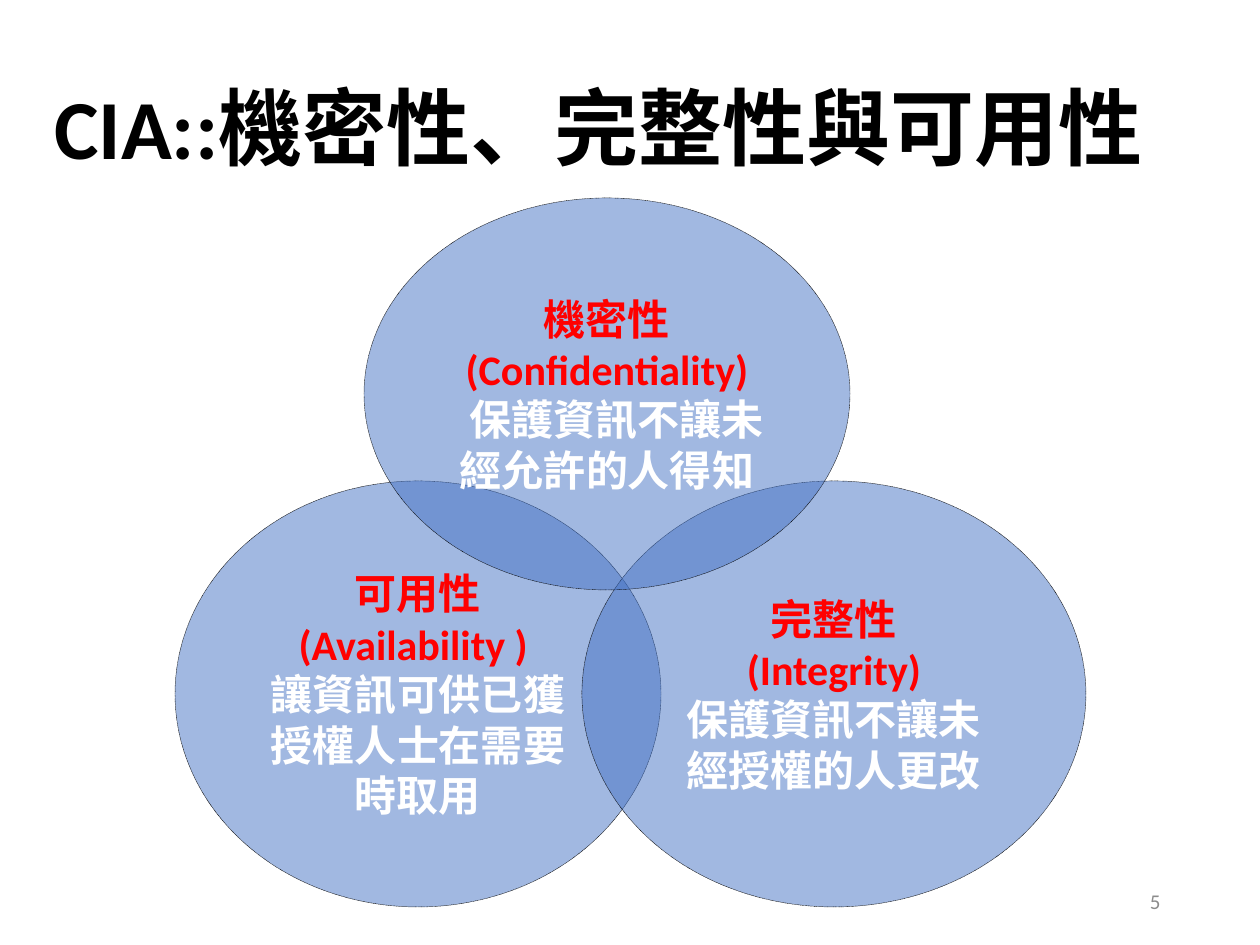
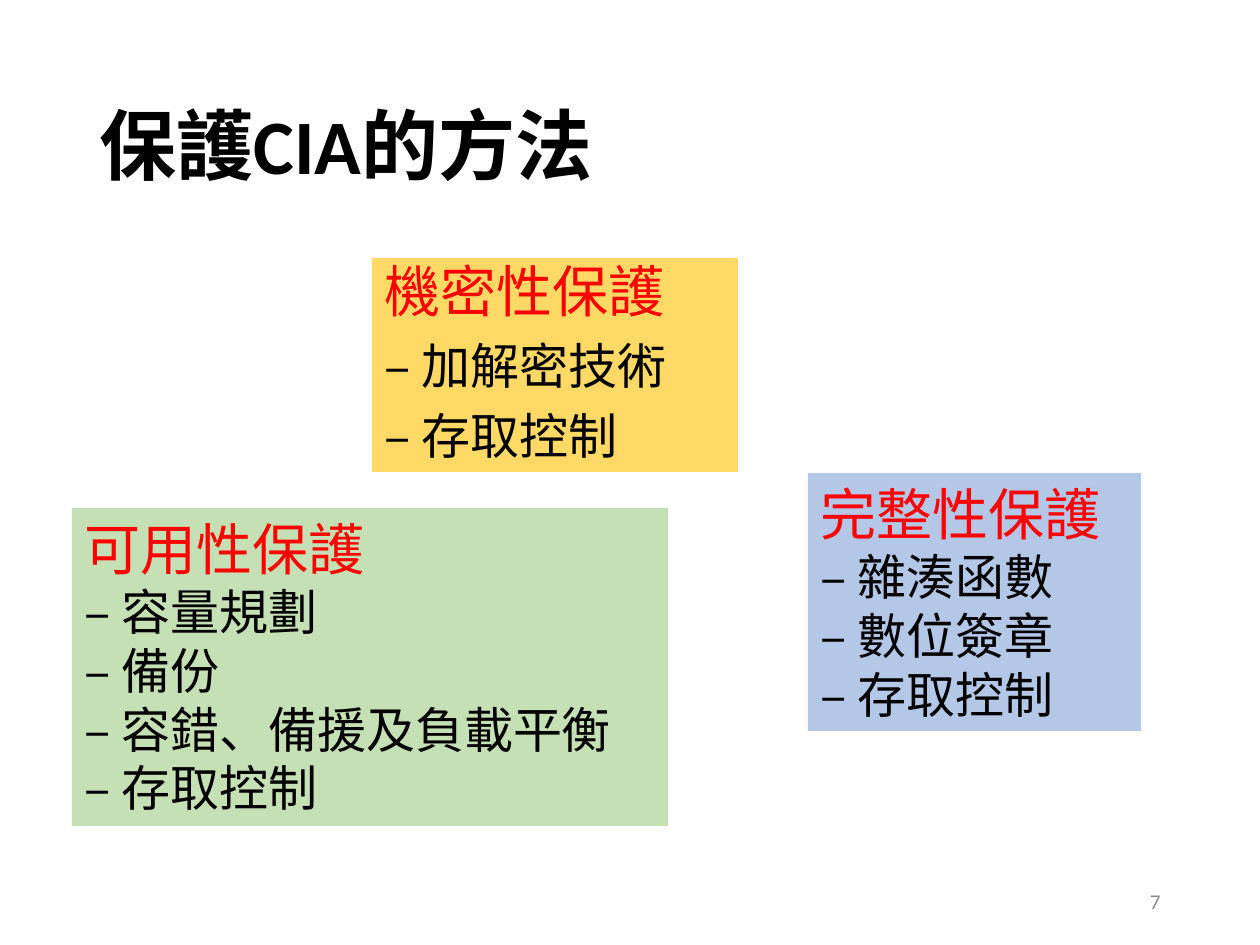
from dataclasses import dataclass

from lxml import etree
from pptx import Presentation
from pptx import util as u
from pptx.dml.color import RGBColor
from pptx.enum import dml, shapes, text
from pptx.oxml import ns

PX = u.Inches(1) / 126
FONT = "Calibri"
BLACK = RGBColor(0x00, 0x00, 0x00)
WHITE = RGBColor(0xFF, 0xFF, 0xFF)
RED = RGBColor(0xFF, 0x00, 0x00)
GRAY = RGBColor(0x8C, 0x8C, 0x8C)
BLUE = RGBColor(0x44, 0x72, 0xC4)
GOLD = RGBColor(0xFF, 0xD9, 0x66)
PALE_BLUE = RGBColor(0xB4, 0xC7, 0xE7)
PALE_GREEN = RGBColor(0xC5, 0xE0, 0xB4)


@dataclass(frozen=True)
class Area:
    left: int
    top: int
    width: int
    height: int

    def emu(self) -> list[int]:
        return [px(n) for n in (self.left, self.top, self.width, self.height)]


@dataclass(frozen=True)
class Circle:
    area: Area
    names: tuple[str, ...]
    meaning: str
    indent: int = 0


@dataclass(frozen=True)
class Card:
    area: Area
    fill: RGBColor
    heading: str
    methods: tuple[str, ...]
    line_spacing: float = 1.0
    gap: int = 0


NUMBER_AREA = Area(890, 876, 283, 50)

CIRCLES = (
    Circle(Area(175, 481, 486, 426), ("可用性", "(Availability ) "),
           "讓資訊可供已獲授權人士在需要時取用"),
    Circle(Area(582, 481, 504, 426), ("完整性", "(Integrity)"),
           "保護資訊不讓未經授權的人更改"),
    Circle(Area(364, 198, 486, 392), ("機密性(Confidentiality)",),
           "保護資訊不讓未經允許的人得知", indent=18),
)

CARDS = (
    Card(Area(372, 258, 366, 214), GOLD, "機密性保護",
         ("加解密技術", "存取控制"), line_spacing=0.9, gap=10),
    Card(Area(808, 473, 333, 258), PALE_BLUE, "完整性保護",
         ("雜湊函數", "數位簽章", "存取控制")),
    Card(Area(72, 508, 596, 318), PALE_GREEN, "可用性保護",
         ("容量規劃", "備份", "容錯、備援及負載平衡", "存取控制")),
)


def px(count: int) -> int:
    return round(count * PX)


def write(frame, words: str, *, size: int, color: RGBColor, bold: bool = False,
          align=text.PP_ALIGN.LEFT, line_spacing: float = 1.0,
          before: int = 0, indent: int = 0) -> None:
    """Fill the first paragraph while it is empty, else append one."""
    first = not frame.text
    para = frame.paragraphs[0] if first else frame.add_paragraph()
    para.alignment = align
    para.line_spacing = line_spacing
    para.space_before = u.Pt(0 if first else before)
    if indent:
        para._p.get_or_add_pPr().set("indent", str(px(indent)))
    span = para.add_run()
    span.text = words
    span.font.name = FONT
    span.font.size = u.Pt(size)
    span.font.bold = bold
    span.font.color.rgb = color


def add_label(page, area: Area, words: str, **style) -> None:
    frame = page.shapes.add_textbox(*area.emu()).text_frame
    frame.word_wrap = True
    frame.vertical_anchor = text.MSO_ANCHOR.MIDDLE
    write(frame, words, **style)


def add_page(deck, title: str, title_area: Area, title_size: int, number: int):
    page = deck.slides.add_slide(deck.slide_layouts[6])
    add_label(page, title_area, title, size=title_size, color=BLACK,
              bold=True, line_spacing=0.9)
    add_label(page, NUMBER_AREA, str(number), size=12, color=GRAY,
              align=text.PP_ALIGN.RIGHT)
    return page


def add_filled(page, kind, area: Area, fill: RGBColor, anchor):
    box = page.shapes.add_shape(kind, *area.emu())
    box.shadow.inherit = False
    box.fill.solid()
    box.fill.fore_color.rgb = fill
    box.line.fill.background()
    box.text_frame.word_wrap = True
    box.text_frame.vertical_anchor = anchor
    return box


def add_circle(page, circle: Circle) -> None:
    box = add_filled(page, shapes.MSO_SHAPE.OVAL, circle.area, BLUE,
                     text.MSO_ANCHOR.MIDDLE)
    fill_color = box._element.spPr.find(ns.qn("a:solidFill"))[0]
    etree.SubElement(fill_color, ns.qn("a:alpha")).set("val", "50000")
    box.line.color.rgb = BLACK
    box.line.width = u.Pt(0.25)
    box.line.dash_style = dml.MSO_LINE.ROUND_DOT
    style = dict(size=24, bold=True, align=text.PP_ALIGN.CENTER)
    for name in circle.names:
        write(box.text_frame, name, color=RED, **style)
    write(box.text_frame, circle.meaning, color=WHITE, indent=circle.indent,
          **style)


def add_card(page, card: Card) -> None:
    box = add_filled(page, shapes.MSO_SHAPE.RECTANGLE, card.area, card.fill,
                     text.MSO_ANCHOR.TOP)
    style = dict(line_spacing=card.line_spacing, before=card.gap)
    write(box.text_frame, card.heading, size=32, color=RED, **style)
    for method in card.methods:
        write(box.text_frame, f"– {method}", size=28, color=BLACK, **style)


def main() -> None:
    deck = Presentation()
    deck.slide_width, deck.slide_height = px(1260), px(945)

    triad = add_page(deck, "CIA::機密性、完整性與可用性",
                     Area(42, 23, 1133, 219), 48, 5)
    for circle in CIRCLES:
        add_circle(triad, circle)

    protection = add_page(deck, "保護CIA的方法",
                          Area(87, 58, 1086, 183), 44, 7)
    for card in CARDS:
        add_card(protection, card)

    deck.save("out.pptx")


if __name__ == "__main__":
    main()
